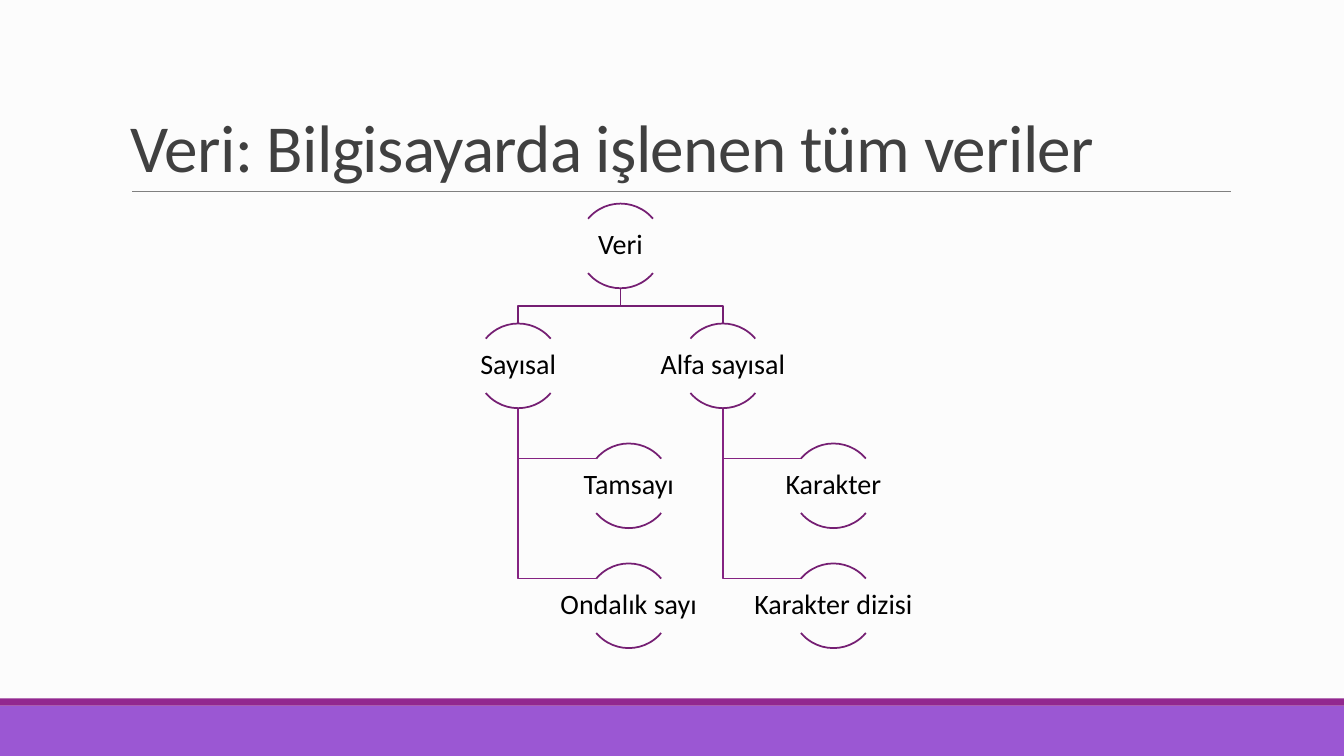
from dataclasses import dataclass
from math import cos, radians, sin
from typing import Optional

from lxml import etree
from pptx import Presentation
from pptx import util as u
from pptx.dml.color import RGBColor
from pptx.enum import shapes, text
from pptx.oxml.ns import qn

PAPER = RGBColor(0xFC, 0xFC, 0xFC)
LAVENDER = RGBColor(0x9B, 0x57, 0xD3)
PURPLE = RGBColor(0x92, 0x27, 0x8F)
TITLE_GREY = RGBColor(0x40, 0x40, 0x40)
RULE_GREY = RGBColor(0x80, 0x80, 0x80)
BLACK = RGBColor(0, 0, 0)
DARK_PURPLE = RGBColor(0x75, 0x1F, 0x73)
LEAF_PURPLE = RGBColor(0x85, 0x23, 0x82)

FONT = "Calibri"
WIDTH, HEIGHT = 13.33, 7.5
LEFT_COLUMN, COLUMN_PITCH = 5.14, 2.03
TOP_ROW, ROW_PITCH = 2.44, 1.19
RADIUS = 0.42
LABEL_WIDTH, LABEL_HEIGHT = 1.67, 0.53
ARC_END = 40  # degrees between the horizontal and each arc's ends
ARC_UNIT = 0.6  # adjustment value per degree


@dataclass(frozen=True)
class Node:
    """A tree entry, placed by column and row of the tree grid."""
    label: str
    column: float
    row: int
    parent: Optional["Node"] = None

    @property
    def x(self) -> float:
        """Horizontal centre in inches."""
        return LEFT_COLUMN + self.column * COLUMN_PITCH

    @property
    def y(self) -> float:
        """Vertical centre in inches."""
        return TOP_ROW + self.row * ROW_PITCH


def plain_shape(preset, left: float, top: float, width: float, height: float):
    """Add a preset shape without shadow, measured in inches."""
    shape = slide.shapes.add_shape(preset, *map(u.Inches, (left, top, width, height)))
    shape.shadow.inherit = False
    return shape


def stroke(shape, color: RGBColor, points: float = 1.25) -> None:
    """Colour the line of a shape or connector."""
    shape.line.color.rgb = color
    shape.line.width = u.Pt(points)


def band(top: float, height: float, color: RGBColor) -> None:
    """Draw a full-width footer band."""
    bar = plain_shape(shapes.MSO_SHAPE.RECTANGLE, 0, top, WIDTH, height)
    bar.fill.solid()
    bar.fill.fore_color.rgb = color
    bar.line.fill.background()


def rule(left: float, right: float, y: float) -> None:
    """Draw the thin line under the title."""
    line = slide.shapes.add_connector(
        shapes.MSO_CONNECTOR.STRAIGHT, *map(u.Inches, (left, y, right, y)))
    stroke(line, RULE_GREY, 0.5)
    etree.SubElement(line._element.spPr, qn("a:effectLst"))


def caption(words: str, left: float, top: float, width: float, height: float,
            size: int, color: RGBColor, spacing: float):
    """Add a one-run text box and return its frame, paragraph and run."""
    box = slide.shapes.add_textbox(*map(u.Inches, (left, top, width, height)))
    frame = box.text_frame
    frame.word_wrap = True
    paragraph = frame.paragraphs[0]
    paragraph.line_spacing = spacing
    run = paragraph.add_run()
    run.text = words
    run.font.name = FONT
    run.font.size = u.Pt(size)
    run.font.color.rgb = color
    return frame, paragraph, run


def draw_link(node: Node) -> None:
    """Join a node to its parent: a tee for branches, an elbow for leaves."""
    parent = node.parent
    start = (parent.x, parent.y + RADIUS)
    if node.row == 1:
        middle = (parent.y + node.y) / 2
        bends = [(parent.x, middle), (node.x, middle), (node.x, node.y - RADIUS)]
        color = DARK_PURPLE
    else:
        angle = radians(ARC_END)
        arc_y = node.y - RADIUS * sin(angle)
        bends = [(parent.x, arc_y), (node.x - RADIUS * cos(angle), arc_y)]
        color = LEAF_PURPLE
    builder = slide.shapes.build_freeform(*map(u.Inches, start))
    builder.add_line_segments([tuple(map(u.Inches, bend)) for bend in bends], close=False)
    link = builder.convert_to_shape()
    link.shadow.inherit = False
    link.fill.background()
    stroke(link, color)


def draw_node(node: Node) -> None:
    """Draw the arcs above and below a node, and its label."""
    for first in (180 + ARC_END, ARC_END):
        arc = plain_shape(shapes.MSO_SHAPE.ARC, node.x - RADIUS, node.y - RADIUS,
                          2 * RADIUS, 2 * RADIUS)
        arc.adjustments[0] = first * ARC_UNIT
        arc.adjustments[1] = (first + 180 - 2 * ARC_END) * ARC_UNIT
        arc.fill.background()
        stroke(arc, DARK_PURPLE)
    frame, paragraph, _ = caption(
        node.label, node.x - LABEL_WIDTH / 2, node.y - LABEL_HEIGHT / 2,
        LABEL_WIDTH, LABEL_HEIGHT, 20, BLACK, 0.9)
    frame.vertical_anchor = text.MSO_ANCHOR.MIDDLE
    frame.margin_left = frame.margin_right = u.Inches(0.01)
    frame.margin_top = frame.margin_bottom = u.Inches(0.01)
    paragraph.alignment = text.PP_ALIGN.CENTER


data = Node("Veri", 0.5, 0)
numeric = Node("Sayısal", 0, 1, data)
alphanumeric = Node("Alfa sayısal", 1, 1, data)
tree = [
    data,
    numeric,
    Node("Tamsayı", 0.54, 2, numeric),
    Node("Ondalık sayı", 0.54, 3, numeric),
    alphanumeric,
    Node("Karakter", 1.54, 2, alphanumeric),
    Node("Karakter dizisi", 1.54, 3, alphanumeric),
]

deck = Presentation()
deck.slide_width, deck.slide_height = u.Inches(WIDTH), u.Inches(HEIGHT)
slide = deck.slides.add_slide(deck.slide_layouts[6])
slide.background.fill.solid()
slide.background.fill.fore_color.rgb = PAPER

band(7, 0.5, LAVENDER)
band(6.93, 0.07, PURPLE)
rule(1.31, 12.21, 1.9)

title_frame, _, title_run = caption(
    "Veri: Bilgisayarda işlenen tüm veriler", 1.2, 0.31, 11, 1.59, 48, TITLE_GREY, 0.85)
title_frame.vertical_anchor = text.MSO_ANCHOR.BOTTOM
title_run.font._element.set("spc", "-50")

for entry in reversed(tree):
    if entry.parent:
        draw_link(entry)
for entry in tree:
    draw_node(entry)

deck.save("out.pptx")
